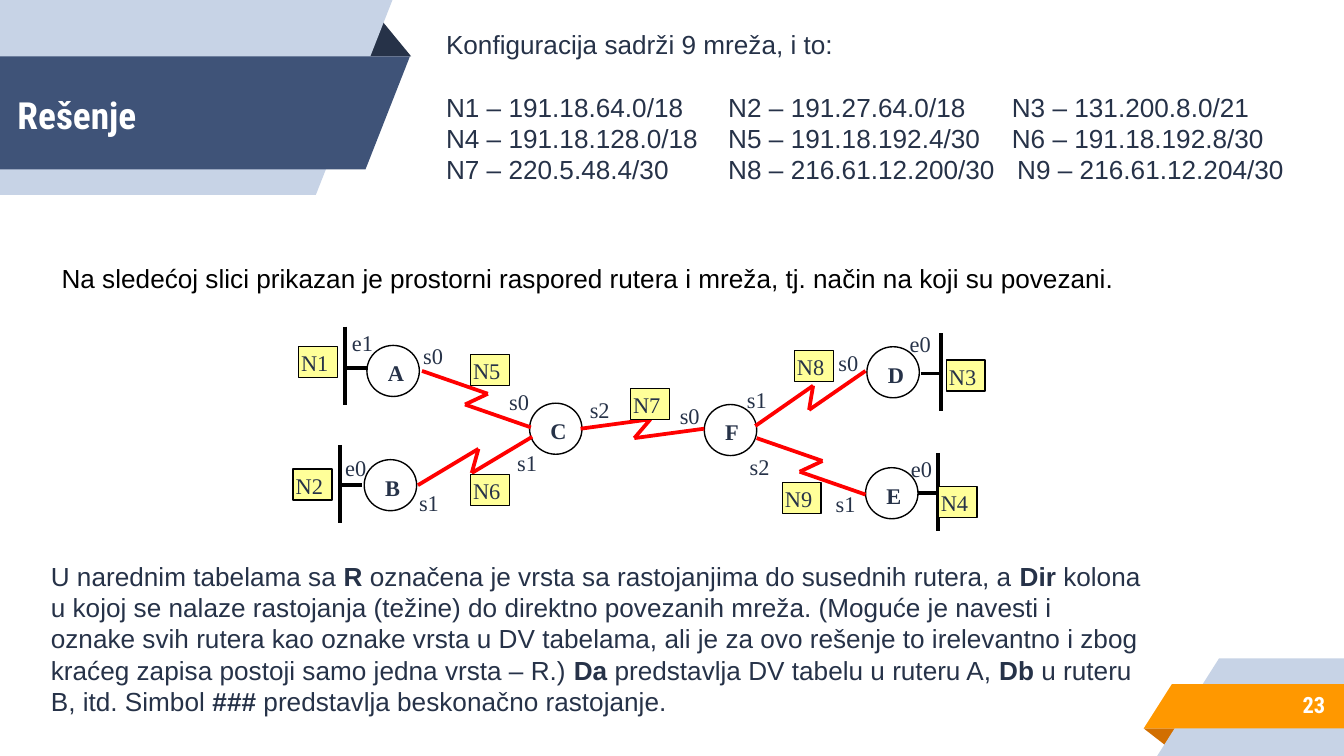
from dataclasses import dataclass
from itertools import pairwise

from lxml import etree
from pptx import Presentation
from pptx.dml.color import RGBColor
from pptx.enum.shapes import MSO_CONNECTOR, MSO_SHAPE
from pptx.enum.text import MSO_ANCHOR, MSO_AUTO_SIZE, PP_ALIGN
from pptx.oxml.ns import qn
from pptx.util import Inches, Pt

STRAIGHT = MSO_CONNECTOR.STRAIGHT
OVAL, RECTANGLE = MSO_SHAPE.OVAL, MSO_SHAPE.RECTANGLE
TOP, MIDDLE = MSO_ANCHOR.TOP, MSO_ANCHOR.MIDDLE
LEFT, RIGHT = PP_ALIGN.LEFT, PP_ALIGN.RIGHT
NO_AUTOFIT = MSO_AUTO_SIZE.NONE

COLORS = {
    "ink": "263248", "blue": "3F5378", "pale": "C7D3E6", "orange": "FF9800",
    "rust": "D26F00", "white": "FFFFFF", "black": "000000", "link": "FF0000",
    "network": "FFFF99",
}
BODY_FONT, TITLE_FONT, DIAGRAM_FONT = "Arial", "Roboto Condensed", "Times New Roman"
LINE_PITCH = Pt(16.8)
SLIDE_WIDTH = 10
SLIDE_HEIGHT = SLIDE_WIDTH * 9 / 16
Point = tuple[float, float]


@dataclass(frozen=True)
class Band:
    color: str
    points: tuple[Point, ...]


@dataclass(frozen=True)
class Label:
    text: str
    left: float
    top: float


@dataclass(frozen=True)
class Lan:
    x: float
    top: float
    stub_x: float
    stub_y: float


@dataclass(frozen=True)
class AddressRow:
    text: str
    tabs: tuple[float, ...] = (2.1, 4.21)


# Decoration, from back to front
BANDS = [
    Band("rust", ((8.51, 5.42), (8.78, 5.42), (8.69, 5.56))),
    Band("pale", ((9.07, 4.9), (SLIDE_WIDTH, 4.9), (SLIDE_WIDTH, SLIDE_HEIGHT),
                  (8.61, SLIDE_HEIGHT))),
    Band("orange", ((8.72, 5.09), (SLIDE_WIDTH, 5.09), (SLIDE_WIDTH, 5.42), (8.51, 5.42))),
    Band("ink", ((2.83, 0.14), (3.06, 0.42), (2.72, 0.42))),
    Band("pale", ((0, 0), (2.92, 0), (2.35, 1.45), (0, 1.45))),
    Band("blue", ((0, 0.42), (3.05, 0.42), (2.72, 1.26), (0, 1.26))),
]

# Network diagram
ROUTERS = [
    Label("A", 2.73, 2.57), Label("B", 2.71, 3.42), Label("C", 3.94, 3),
    Label("F", 5.24, 3.01), Label("D", 6.45, 2.58), Label("E", 6.44, 3.48),
]
SERIAL_LINKS = [
    ((3.14, 2.76), (3.63, 2.93), (3.46, 3.01), (3.95, 3.18)),
    ((5.63, 3.26), (6.12, 3.43), (5.95, 3.51), (6.44, 3.68)),
    ((5.62, 3.17), (6.05, 2.87), (6.02, 3.05), (6.44, 2.76)),
    ((3.11, 3.61), (3.56, 3.34), (3.51, 3.52), (3.96, 3.25)),
    ((4.32, 3.19), (4.84, 3.12), (4.72, 3.26), (5.24, 3.19)),
]
LANS = [
    Lan(7, 2.48, 6.85, 2.78), Lan(6.98, 3.37, 6.83, 3.67),
    Lan(2.57, 2.43, 2.74, 2.74), Lan(2.53, 3.31, 2.69, 3.61),
]
LAN_HEIGHT = 0.58
INTERFACES = [
    Label("e1", 2.52, 2.4), Label("e0", 2.47, 3.33), Label("s0", 3.05, 2.5),
    Label("s1", 3.02, 3.59), Label("s1", 3.75, 3.29), Label("s0", 3.69, 2.84),
    Label("s2", 4.29, 2.9), Label("s0", 4.96, 2.94), Label("s1", 5.46, 2.82),
    Label("s2", 5.48, 3.32), Label("s0", 6.14, 2.55), Label("s1", 6.12, 3.6),
    Label("e0", 6.67, 2.41), Label("e0", 6.68, 3.34),
]
NETWORKS = [
    Label("N1", 2.22, 2.58), Label("N2", 2.18, 3.49), Label("N3", 7.04, 2.68),
    Label("N4", 6.98, 3.62), Label("N5", 3.5, 2.64), Label("N6", 3.5, 3.53),
    Label("N7", 4.69, 2.89), Label("N8", 5.91, 2.61), Label("N9", 5.82, 3.59),
]

# Texts
ADDRESSES = [
    AddressRow("Konfiguracija sadrži 9 mreža, i to:", ()),
    AddressRow("N1 – 191.18.64.0/18\tN2 – 191.27.64.0/18\tN3 – 131.200.8.0/21"),
    AddressRow("N4 – 191.18.128.0/18\tN5 – 191.18.192.4/30\tN6 – 191.18.192.8/30"),
    AddressRow("N7 – 220.5.48.4/30\tN8 – 216.61.12.200/30\tN9 – 216.61.12.204/30", (2.1, 4.25)),
]
INTRODUCTION = ("Na sledećoj slici prikazan je prostorni raspored rutera i mreža, "
                "tj. način na koji su povezani.")
# Every second piece is bold
EXPLANATION = [
    "U narednim tabelama sa ", "R",
    " označena je vrsta sa rastojanjima do susednih rutera, a ", "Dir",
    " kolona u kojoj se nalaze rastojanja (težine) do direktno povezanih mreža. "
    "(Moguće je navesti i oznake svih rutera kao oznake vrsta u DV tabelama, ali je "
    "za ovo rešenje to irelevantno i zbog kraćeg zapisa postoji samo jedna vrsta – R.) ",
    "Da", " predstavlja DV tabelu u ruteru A, ", "Db", " u ruteru B, itd. Simbol ",
    "###", " predstavlja beskonačno rastojanje.",
]


def rgb(color: str) -> RGBColor:
    return RGBColor.from_string(COLORS[color])


def format_font(font, name: str, size: float, color: str, bold: bool = False) -> None:
    font.name, font.size, font.bold = name, Pt(size), bold
    font.color.rgb = rgb(color)


def format_frame(frame, anchor=TOP, inset: float | None = None) -> None:
    frame.word_wrap, frame.auto_size, frame.vertical_anchor = True, NO_AUTOFIT, anchor
    if inset is not None:
        frame.margin_left = frame.margin_right = Inches(inset)
        frame.margin_top = frame.margin_bottom = Inches(inset)


def set_text(frame, text: str, font: str, size: float, color: str,
             bold: bool = False, align=LEFT) -> None:
    frame.text = text
    for paragraph in frame.paragraphs:
        paragraph.alignment = align
        for run in paragraph.runs:
            format_font(run.font, font, size, color, bold)


def add_box(slide, left: float, top: float, width: float, height: float,
            anchor=TOP, inset: float | None = None):
    box = slide.shapes.add_textbox(Inches(left), Inches(top), Inches(width), Inches(height))
    format_frame(box.text_frame, anchor, inset)
    return box.text_frame


def add_band(slide, band: Band) -> None:
    points = [(Inches(x), Inches(y)) for x, y in band.points]
    builder = slide.shapes.build_freeform(*points[0])
    builder.add_line_segments(points[1:], close=True)
    shape = builder.convert_to_shape()
    shape.shadow.inherit = False
    shape.fill.solid()
    shape.fill.fore_color.rgb = rgb(band.color)
    shape.line.fill.background()


def add_node(slide, label: Label, kind, width: float, height: float, fill: str,
             bold: bool = False, inset: float | None = None) -> None:
    shape = slide.shapes.add_shape(
        kind, Inches(label.left), Inches(label.top), Inches(width), Inches(height))
    shape.shadow.inherit = False
    shape.fill.solid()
    shape.fill.fore_color.rgb = rgb(fill)
    shape.line.color.rgb = rgb("black")
    shape.line.width = Pt(0.75)
    format_frame(shape.text_frame, TOP, inset)
    set_text(shape.text_frame, label.text, DIAGRAM_FONT, 12, "ink", bold)


def add_path(slide, points: tuple[Point, ...], color: str) -> None:
    for start, end in pairwise(points):
        line = slide.shapes.add_connector(STRAIGHT, *map(Inches, start + end))
        line.line.color.rgb = rgb(color)
        line.line.width = Pt(2)
        etree.SubElement(line._element.spPr, qn("a:effectLst"))


def add_tabs(paragraph, positions: tuple[float, ...]) -> None:
    tabs = etree.SubElement(paragraph._p.get_or_add_pPr(), qn("a:tabLst"))
    for position in positions:
        etree.SubElement(tabs, qn("a:tab"), pos=str(Inches(position)), algn="l")


def main() -> None:
    presentation = Presentation()
    presentation.slide_width = Inches(SLIDE_WIDTH)
    presentation.slide_height = Inches(SLIDE_HEIGHT)
    slide = presentation.slides.add_slide(presentation.slide_layouts[5])

    for band in BANDS:
        add_band(slide, band)

    # Title, brought in front of the ribbon
    title = slide.shapes.title
    title.left, title.top = Inches(0.03), Inches(0.43)
    title.width, title.height = Inches(2.38), Inches(0.84)
    format_frame(title.text_frame, MIDDLE, 0.1)
    set_text(title.text_frame, "Rešenje", TITLE_FONT, 20, "white", True)
    slide.shapes._spTree.append(title._element)

    # Page number
    number = add_box(slide, 8.33, 5.07, 1.63, 0.35, MIDDLE, 0.1)
    set_text(number, "23", TITLE_FONT, 12, "white", True, RIGHT)

    # Network addresses
    addresses = add_box(slide, 3.22, 0.15, 6.78, 1.51)
    addresses.margin_top = Inches(0.06)
    set_text(addresses, "\n".join(row.text for row in ADDRESSES), BODY_FONT, 14, "ink")
    for paragraph, row in zip(addresses.paragraphs, ADDRESSES):
        paragraph.line_spacing = LINE_PITCH
        if row.tabs:
            add_tabs(paragraph, row.tabs)
    addresses.paragraphs[1].space_before = LINE_PITCH

    # Diagram
    for router in ROUTERS:
        add_node(slide, router, OVAL, 0.39, 0.38, "white", bold=True)
    for link in SERIAL_LINKS:
        add_path(slide, link, "link")
    for lan in LANS:
        add_path(slide, ((lan.x, lan.top), (lan.x, lan.top + LAN_HEIGHT)), "black")
        add_path(slide, ((lan.x, lan.stub_y), (lan.stub_x, lan.stub_y)), "black")
    for interface in INTERFACES:
        frame = add_box(slide, interface.left, interface.top, 0.56, 0.29)
        set_text(frame, interface.text, DIAGRAM_FONT, 12, "ink")
    for network in NETWORKS:
        add_node(slide, network, RECTANGLE, 0.29, 0.23, "network", inset=0.02)

    # Explanation and introduction
    explanation = add_box(slide, 0.28, 4.11, 8.31, 1.28, MIDDLE).paragraphs[0]
    explanation.line_spacing = LINE_PITCH
    for index, piece in enumerate(EXPLANATION):
        run = explanation.add_run()
        run.text = piece
        format_font(run.font, BODY_FONT, 14, "ink", index % 2 == 1)
    introduction = add_box(slide, 0.36, 1.9, 9.26, 0.34)
    set_text(introduction, INTRODUCTION, BODY_FONT, 14, "black")

    presentation.save("out.pptx")


if __name__ == "__main__":
    main()
